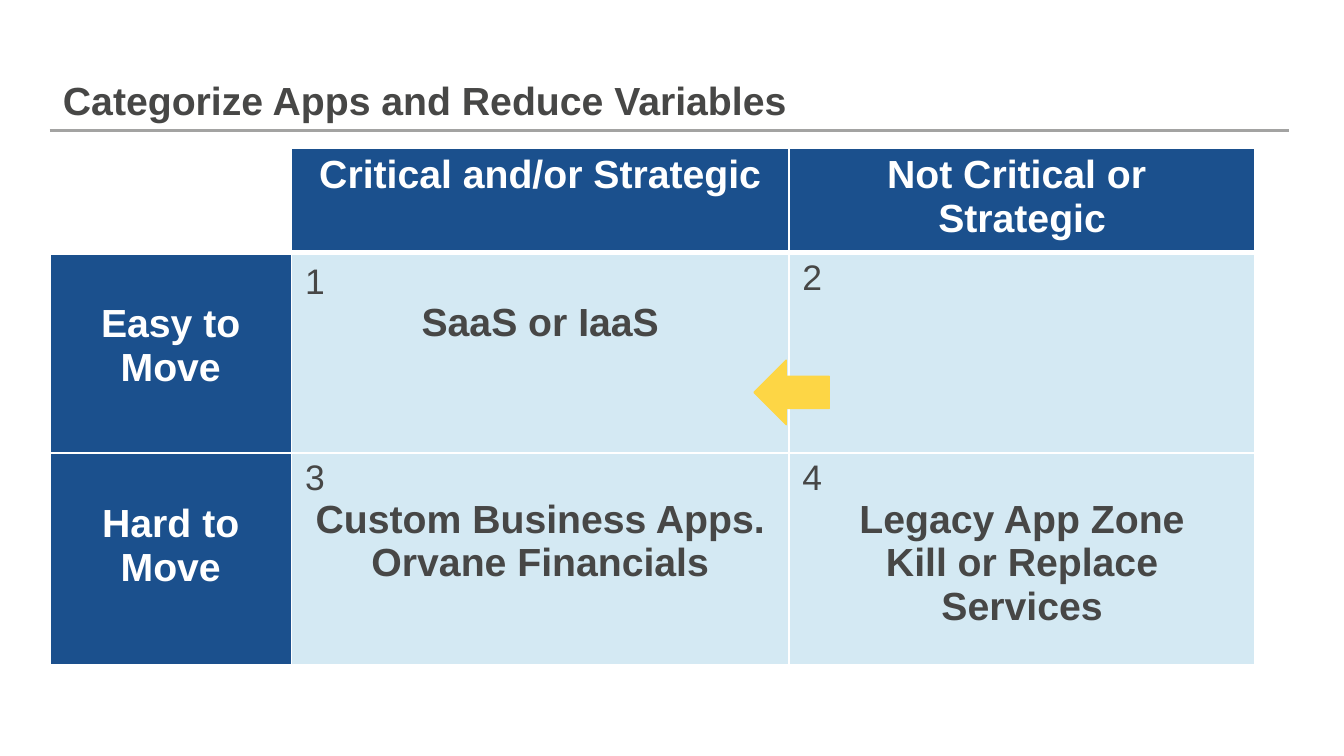
from lxml.etree import SubElement as Sub
from pptx import Presentation
from pptx.dml.color import RGBColor
from pptx.enum.shapes import MSO_CONNECTOR as Link, MSO_SHAPE as Shape
from pptx.enum.text import MSO_ANCHOR as Anchor, PP_ALIGN as Align
from pptx.oxml.ns import qn
from pptx.util import Inches, Pt

WHITE = RGBColor(0xFF, 0xFF, 0xFF)
NAVY = RGBColor(0x1B, 0x50, 0x8D)
PALE = RGBColor(0xD4, 0xE9, 0xF3)
DARK = RGBColor(0x47, 0x47, 0x46)
GREY = RGBColor(0xA3, 0xA3, 0xA2)
GOLD = RGBColor(0xFD, 0xD6, 0x45)

BOLD = {"name": "Arial", "size": Pt(21), "bold": True}
PLAIN = {"name": "Arial", "size": Pt(19), "bold": False}


def write(para, text, form, color, align):
    para.alignment = align
    run = para.add_run()
    run.text = text
    for key, val in form.items():
        setattr(run.font, key, val)
    run.font.color.rgb = color


def edge(cell, side, width):
    line = Sub(cell._tc.get_or_add_tcPr(), qn(f"a:ln{side}"), w=str(Pt(width)))
    Sub(Sub(line, qn("a:solidFill")), qn("a:srgbClr"), val=str(WHITE))


deck = Presentation()
deck.slide_width = Inches(10)
deck.slide_height = Inches(10) * 9 // 16
slide = deck.slides.add_slide(deck.slide_layouts[6])
shapes = slide.shapes

rule = shapes.add_connector(Link.STRAIGHT, Inches(0.37), Inches(0.97), Inches(9.59), Inches(0.97))
rule.line.color.rgb = GREY
rule.line.width = Pt(1.5)
Sub(rule._element.spPr, qn("a:effectLst"))

cols = [1.8, 3.7, 3.47]
rows = [0.78, 1.49, 1.58]
grid = [
    [[], ["Critical and/or Strategic"], ["Not Critical or ", "Strategic"]],
    [["Easy to Move"], ["1", "SaaS or IaaS"], ["2"]],
    [["Hard to Move"], ["3", "Custom Business Apps.", "Orvane Financials"],
     ["4", "Legacy App Zone", "Kill or Replace Services"]],
]
table = shapes.add_table(3, 3, Inches(0.37), Inches(1.1), Inches(sum(cols)), Inches(sum(rows))).table
table.first_row = False
table.horz_banding = False
for col, width in zip(table.columns, cols):
    col.width = Inches(width)
for row, height in zip(table.rows, rows):
    row.height = Inches(height)

for r, line in enumerate(grid):
    for c, texts in enumerate(line):
        cell = table.cell(r, c)
        head = r == 0 or c == 0
        for side in "LRTB":
            thick = (r, side) in [(0, "B"), (1, "T")]
            edge(cell, side, 3 if thick else 1)
        cell.fill.solid()
        cell.fill.fore_color.rgb = (NAVY if texts else WHITE) if head else PALE
        top = 0.37 if r and c == 0 else 0.07 if (r, c) == (1, 1) else 0.04
        pads = {"margin_left": 0.1, "margin_right": 0.1, "margin_top": top, "margin_bottom": 0.04}
        for key, val in pads.items():
            setattr(cell, key, Inches(val))
        frame = cell.text_frame
        for i, text in enumerate(texts):
            para = frame.add_paragraph() if i else frame.paragraphs[0]
            mark = text.isdigit()
            write(para, text, PLAIN if mark else BOLD, WHITE if head else DARK,
                  Align.LEFT if mark else Align.CENTER)

title = shapes.add_textbox(Inches(0.37), Inches(0.13), Inches(8.97), Inches(0.84)).text_frame
title.word_wrap = True
title.vertical_anchor = Anchor.BOTTOM
write(title.paragraphs[0], "Categorize Apps and Reduce Variables", BOLD, DARK, Align.LEFT)

arrow = shapes.add_shape(Shape.DOWN_ARROW, Inches(5.65), Inches(2.64), Inches(0.48), Inches(0.56))
arrow.rotation = 90
arrow.shadow.inherit = False
arrow.fill.solid()
arrow.fill.fore_color.rgb = GOLD
arrow.line.color.rgb = GOLD
arrow.line.width = Pt(0.75)

deck.save("out.pptx")
